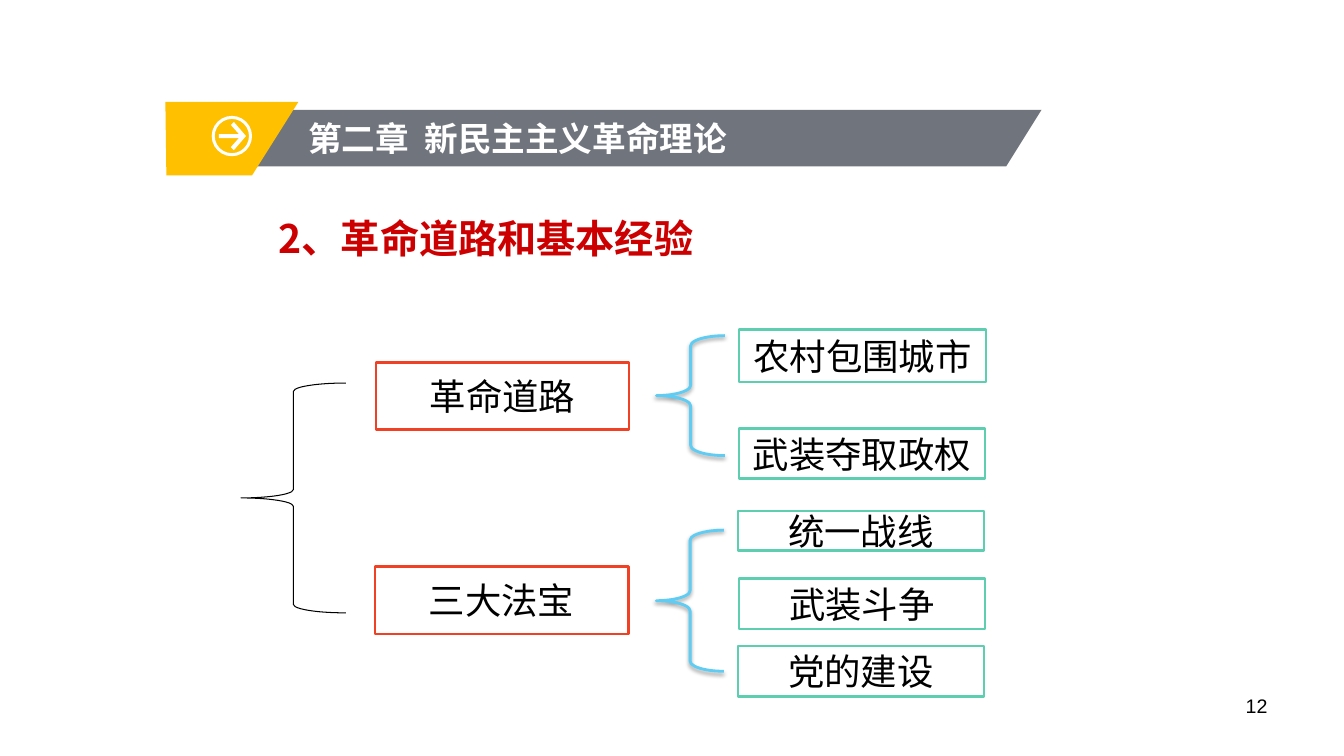
from lxml import etree
from pptx import Presentation
from pptx.dml.color import RGBColor
from pptx.enum.shapes import MSO_SHAPE as SHAPE
from pptx.enum.text import MSO_ANCHOR as ANCHOR, MSO_AUTO_SIZE as AUTO, PP_ALIGN as ALIGN
from pptx.oxml import parse_xml
from pptx.oxml.ns import nsdecls, qn
from pptx.util import Pt

EMU_PER_PX = 9144
CJK = "Noto Sans CJK SC"
SHADOW = (
    f'<a:effectLst {nsdecls("a")}>'
    '<a:outerShdw blurRad="39370" dist="20320" dir="5400000" rotWithShape="0">'
    '<a:srgbClr val="000000"><a:alpha val="38000"/></a:srgbClr>'
    "</a:outerShdw></a:effectLst>"
)


def px(*values):
    return [v * EMU_PER_PX for v in values]


def color(value):
    return RGBColor.from_string(value)


class Deck:
    def __init__(self, width, height):
        self.prs = Presentation()
        self.prs.slide_width, self.prs.slide_height = px(width, height)
        self.s = self.prs.slides.add_slide(self.prs.slide_layouts[6])
        self.shapes = self.s.shapes

    def group(self):
        self.shapes = self.s.shapes.add_group_shape().shapes

    def label(self, sp, text, size, ink, align, font=CJK, bold=False):
        tf = sp.text_frame
        tf.text = text
        p = tf.paragraphs[0]
        p.alignment = align
        r = p.runs[0]
        r.font.name, r.font.size, r.font.bold = font, Pt(size), bold
        r.font.color.rgb = color(ink)
        ea = etree.SubElement(r.font._element, qn("a:ea"))
        ea.set("typeface", font)
        return tf

    def text(self, box, text, size, ink, align, **style):
        sp = self.shapes.add_textbox(*px(*box))
        tf = self.label(sp, text, size, ink, align, **style)
        tf.word_wrap = True
        return tf

    def polygon(self, points, fill):
        builder = self.shapes.build_freeform(*points[0], scale=EMU_PER_PX)
        builder.add_line_segments(points[1:], close=True)
        self.paint(builder.convert_to_shape(), fill)

    def paint(self, sp, fill=None, line=None, weight=2):
        sp.shadow.inherit = False
        if fill:
            sp.fill.solid()
            sp.fill.fore_color.rgb = color(fill)
        else:
            sp.fill.background()
        if line:
            sp.line.color.rgb = color(line)
            sp.line.width = Pt(weight)
        else:
            sp.line.fill.background()

    def ring(self, box, thickness, fill):
        sp = self.shapes.add_shape(SHAPE.DONUT, *px(*box))
        sp.adjustments[0] = thickness / box[2]
        self.paint(sp, fill)

    def box(self, box, text, line):
        sp = self.shapes.add_shape(SHAPE.RECTANGLE, *px(*box))
        self.paint(sp, "FFFFFF", line)
        tf = self.label(sp, text, 26, "000000", ALIGN.CENTER)
        tf.vertical_anchor = ANCHOR.MIDDLE

    def brace(self, box, line, weight, curve=0.08, shadow=False):
        sp = self.shapes.add_shape(SHAPE.LEFT_BRACE, *px(*box))
        sp.adjustments[0] = curve
        self.paint(sp, None, line, weight)
        if shadow:
            effects = sp._element.spPr.find(qn("a:effectLst"))
            effects.getparent().replace(effects, parse_xml(SHADOW))


def main():
    deck = Deck(1333, 750)
    deck.text((956, 683, 311, 52), "12", 14, "000000", ALIGN.RIGHT, font="Arial")

    deck.polygon([(172, 109), (1033, 109), (998, 165), (172, 165)], "70757D")
    deck.polygon([(164, 101), (296, 101), (250, 174), (165, 174)], "FFC000")
    tf = deck.text((296, 112, 441, 50), "第二章  新民主主义革命理论", 24, "FFFFFF",
                   ALIGN.LEFT, bold=True)
    tf.word_wrap = False
    tf.auto_size = AUTO.SHAPE_TO_FIT_TEXT
    deck.ring((210, 115, 40, 40), 3, "FFFFFF")
    deck.polygon([(232, 149), (229, 146), (237, 137), (217, 137), (217, 133),
                  (237, 133), (229, 124), (232, 121), (244, 135)], "FFFFFF")

    tf = deck.text((227, 203, 510, 42), "2、革命道路和基本经验", 28, "CC0000",
                   ALIGN.CENTER, bold=True)
    tf.vertical_anchor = ANCHOR.MIDDLE
    tf.paragraphs[0].line_spacing = 1.5

    deck.brace((239, 380, 104, 228), "000000", 0.75)
    topics = [
        ((373, 360, 251, 66), "革命道路", (651, 333, 68, 119), [
            ((733, 327, 245, 52), "农村包围城市"),
            ((733, 425, 244, 50), "武装夺取政权"),
        ]),
        ((372, 562, 251, 67), "三大法宝", (651, 526, 67, 140), [
            ((732, 507, 244, 39), "统一战线"),
            ((733, 574, 244, 50), "武装斗争"),
            ((732, 641, 244, 50), "党的建设"),
        ]),
    ]
    for box, topic, _, _ in topics:
        deck.box(box, topic, "F14124")
    for _, _, brace, points in topics:
        deck.group()
        deck.brace(brace, "5ECCF3", 2, curve=0.15, shadow=True)
        for box, point in points:
            deck.box(box, point, "5DCEAF")

    deck.prs.save("out.pptx")


if __name__ == "__main__":
    main()
